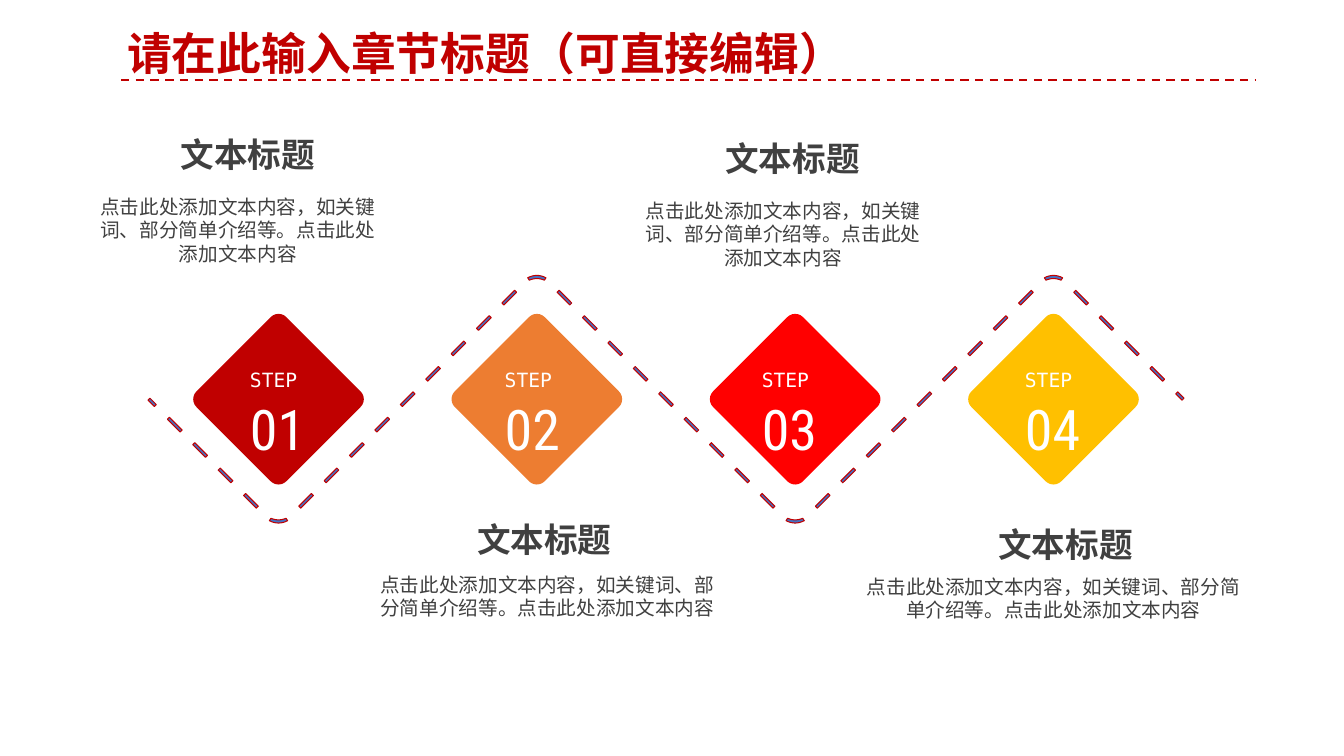
import pptx
import pptx.dml.color
import pptx.enum.dml
import pptx.enum.shapes
import pptx.enum.text
import pptx.oxml
import pptx.oxml.ns
import pptx.util
import lxml.etree
import math

Cm = pptx.util.Cm
Pt = pptx.util.Pt
RGBColor = pptx.dml.color.RGBColor
ALIGN = pptx.enum.text.PP_ALIGN
qn = pptx.oxml.ns.qn

DARK_RED = RGBColor(0xC0, 0x00, 0x00)
ORANGE = RGBColor(0xED, 0x7D, 0x31)
RED = RGBColor(0xFF, 0x00, 0x00)
AMBER = RGBColor(0xFF, 0xC0, 0x00)
BLUE = RGBColor(0x44, 0x72, 0xC4)
GREY = RGBColor(0x40, 0x40, 0x40)
WHITE = RGBColor(0xFF, 0xFF, 0xFF)
CJK_FONT = "Noto Sans CJK SC"

HEADING = "文本标题"
BODY = "点击此处添加文本内容，如关键词、部分简单介绍等。点击此处添加文本内容"

FIRST_X, PITCH, MID_Y = 7.02, 6.51, 10.06
# Colour, label box, heading box and body box (left, top, width, height in cm)
STEPS = [
    (DARK_RED, (6.05, 8.79, 1.98, 3), (3.81, 3.25, 4.88, 1.27), (2.21, 4.78, 7.57, 2.06)),
    (ORANGE, (12.47, 8.79, 2.03, 3), (11.28, 12.95, 4.88, 1.27), (9.17, 14.3, 9.25, 1.45)),
    (RED, (18.95, 8.79, 2.03, 3), (17.53, 3.35, 4.88, 1.27), (15.95, 4.88, 7.57, 2.06)),
    (AMBER, (25.58, 8.79, 1.98, 3), (24.41, 13.08, 4.88, 1.27), (21.56, 14.35, 9.98, 1.45)),
]


def style_paragraph(p, size, color, name, bold=False, align=ALIGN.LEFT):
    p.alignment = align
    p.font.size = Pt(size)
    p.font.bold = bold
    p.font.color.rgb = color
    p.font.name = name
    props = p._p.get_or_add_pPr().find(qn("a:defRPr"))
    ea = lxml.etree.SubElement(props, qn("a:ea"))
    ea.set("typeface", CJK_FONT)


def add_text(slide, box, wrap=True):
    tf = slide.shapes.add_textbox(*map(Cm, box)).text_frame
    tf.word_wrap = wrap
    tf.auto_size = pptx.enum.text.MSO_AUTO_SIZE.SHAPE_TO_FIT_TEXT
    return tf


def add_outline(slide, contours, fill, line=None):
    """Draw one freeform from closed contours of (x, y) points in cm."""
    contours = [[(Cm(x), Cm(y)) for x, y in points] for points in contours]
    builder = slide.shapes.build_freeform(*contours[0][0])
    for i, points in enumerate(contours):
        if i:
            builder.move_to(*points[0])
        builder.add_line_segments(points[1:], close=True)
    sp = builder.convert_to_shape()
    sp.shadow.inherit = False
    sp.fill.solid()
    sp.fill.fore_color.rgb = fill
    if line is None:
        sp.line.fill.background()
    else:
        sp.line.color.rgb = line
        sp.line.width = Pt(0.75)


def add_header(slide, left, top, width, height):
    title = slide.shapes.title
    title.left, title.top, title.width, title.height = map(Cm, (left, top, width, height))
    tf = title.text_frame
    tf.vertical_anchor = pptx.enum.text.MSO_ANCHOR.TOP
    tf.text = "请在此输入章节标题（可直接编辑）"
    style_paragraph(tf.paragraphs[0], 32, DARK_RED, "Arial", bold=True)

    y = Cm(top + 1.5)
    rule = slide.shapes.add_connector(
        pptx.enum.shapes.MSO_CONNECTOR.STRAIGHT, Cm(left + 0.1), y, Cm(left + 28.7), y)
    rule.line.color.rgb = DARK_RED
    rule.line.width = Pt(1.5)
    rule.line.dash_style = pptx.enum.dml.MSO_LINE.DASH
    lxml.etree.SubElement(rule._element.spPr, qn("a:effectLst"))


def dash(x, y, slope, half=0.16, thick=0.025):
    """Corners of a dash centred on (x, y); slope is 1 (falling) or -1 (rising)."""
    return [(x + a * half + b * thick * slope, y + a * half * slope - b * thick)
            for a, b in ((-1, -1), (1, -1), (1, 1), (-1, 1))]


def bend(x, y, down):
    """Curved dash at a turning point, opening down (1) or up (-1)."""
    steps = [i / 4 for i in range(-4, 5)]
    outer = [(x + 0.23 * t, y + down * 0.06 * t * t) for t in steps]
    inner = [(x + 0.19 * t, y + down * (0.08 + 0.04 * t * t)) for t in reversed(steps)]
    return outer + inner


def add_zigzag(slide, first_x, mid_y, pitch, height=3.12, gap=0.64):
    for k in range(len(STEPS)):
        x = first_x + k * pitch
        down = 1 if k % 2 else -1
        contours = [bend(x, mid_y - down * height, down)]
        for side in (-1, 1):
            contours += [dash(x + side * (pitch / 2 - j * gap), mid_y - down * j * gap, side * down)
                         for j in range(1, 5)]
        add_outline(slide, contours, BLUE, DARK_RED)
        if k:
            add_outline(slide, [dash(x - pitch / 2, mid_y, -down)], BLUE, DARK_RED)
    end_x = first_x + (len(STEPS) - 0.5) * pitch
    for x, y in ((first_x - pitch / 2 + 0.07, mid_y + 0.08), (end_x - 0.07, mid_y - 0.08)):
        add_outline(slide, [dash(x, y, 1, half=0.08)], BLUE, DARK_RED)


def add_diamond(slide, x, y, color, reach=2.15, radius=0.28):
    """Diamond with rounded corners, reaching the same distance on each side of (x, y)."""
    points = []
    for corner in range(0, 360, 90):
        cx = x + (reach - radius) * math.cos(math.radians(corner))
        cy = y + (reach - radius) * math.sin(math.radians(corner))
        for turn in range(corner - 45, corner + 46, 15):
            angle = math.radians(turn)
            points.append((cx + radius * math.cos(angle), cy + radius * math.sin(angle)))
    add_outline(slide, [points], color)


def add_step(slide, number, x, y, color, label_box, heading_box, body_box):
    add_diamond(slide, x, y, color)

    tf = add_text(slide, label_box, wrap=False)
    p = tf.paragraphs[0]
    for text, size, name in (("STEP", 14, "DejaVu Sans Mono"), (" ", 24, "Roboto Condensed")):
        r = p.add_run()
        r.text = text
        r.font.size = Pt(size)
        r.font.name = name
        r.font.color.rgb = WHITE
    p = tf.add_paragraph()
    p.text = f"{number:02}"
    style_paragraph(p, 40, WHITE, "Roboto Condensed")

    p = add_text(slide, heading_box).paragraphs[0]
    p.text = HEADING
    style_paragraph(p, 24, GREY, "Arial", bold=True, align=ALIGN.CENTER)
    p = add_text(slide, body_box).paragraphs[0]
    p.text = BODY
    style_paragraph(p, 14, GREY, CJK_FONT, align=ALIGN.CENTER)


def main():
    prs = pptx.Presentation()
    prs.slide_width, prs.slide_height = Cm(33.87), Cm(19.05)
    slide = prs.slides.add_slide(prs.slide_layouts[5])
    add_header(slide, 2.95, 0.51, 19.79, 1.63)
    add_zigzag(slide, FIRST_X, MID_Y, PITCH)
    for i, step in enumerate(STEPS):
        add_step(slide, i + 1, FIRST_X + i * PITCH, MID_Y, *step)
    prs.save("out.pptx")


if __name__ == "__main__":
    main()
